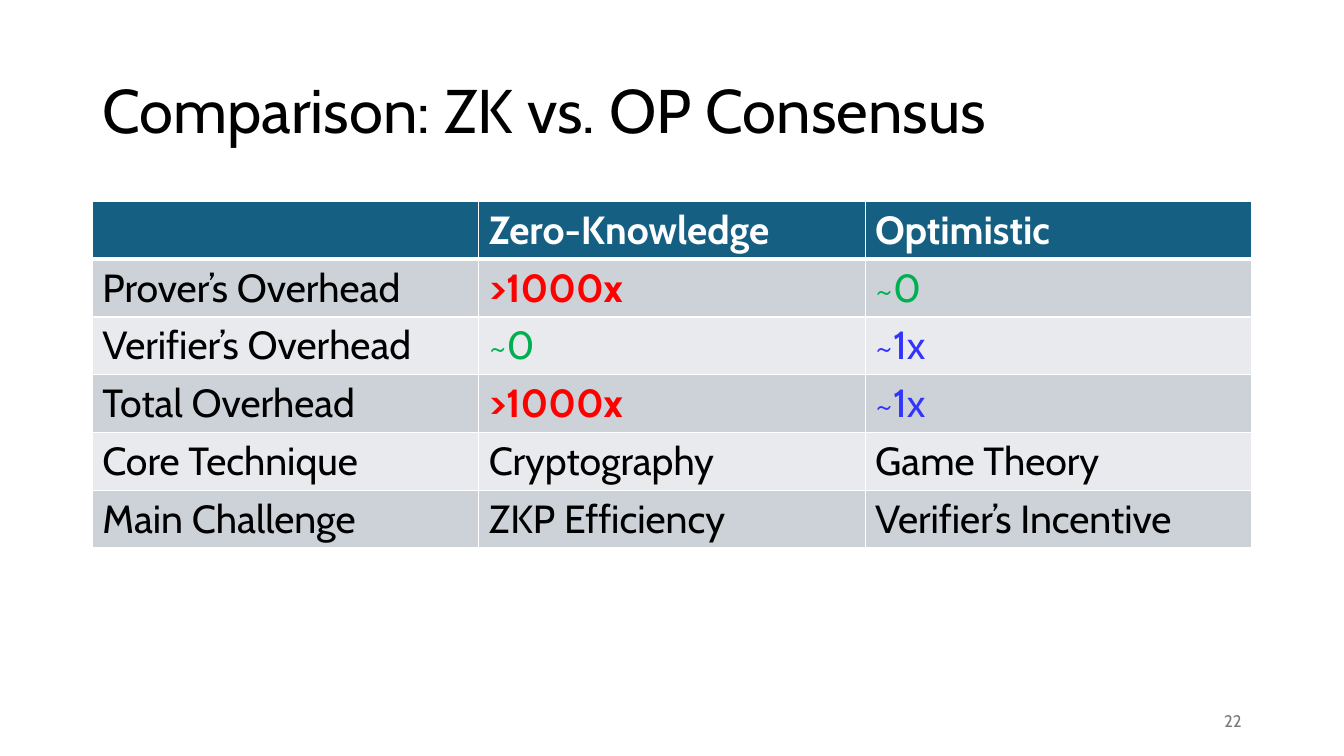
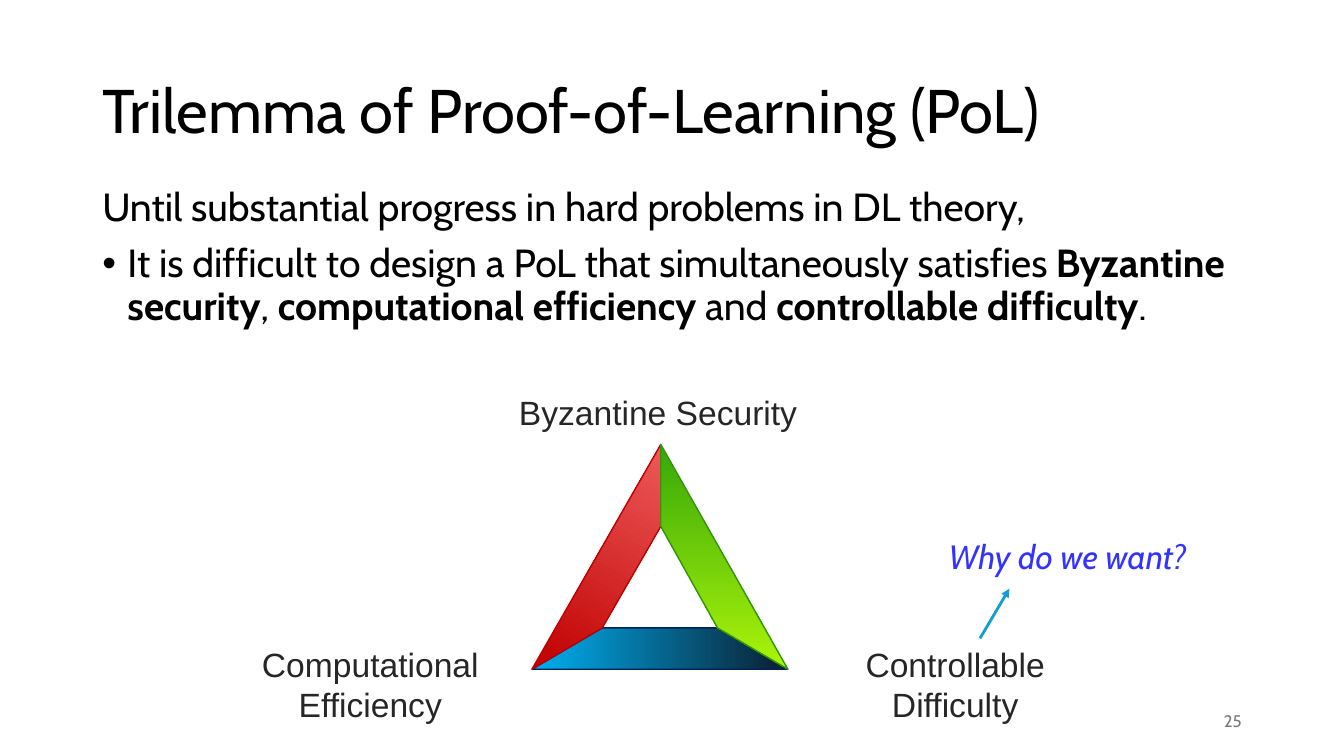
import pptx
import pptx.util
import pptx.dml.color
import pptx.enum.shapes
import pptx.enum.text
import pptx.oxml
import pptx.oxml.ns

Pt = pptx.util.Pt
ALIGN = pptx.enum.text.PP_ALIGN
ANCHOR = pptx.enum.text.MSO_ANCHOR
MAIN = "Cabin"
LABEL = "Arial"
COLORS = {
    "black": "000000", "white": "FFFFFF", "gray": "797979", "ink": "262626",
    "head": "156082", "odd": "CCD2D8", "even": "E8EAED",
    "red": "FF0000", "green": "00B050", "blue": "3333FF", "arrow": "0F9ED5",
    "navy": "002060", "night": "0B1E31", "sky": "00B0F0",
    "brick": "C00000", "rose": "ED5959",
    "moss": "319608", "leaf": "36A709", "lime": "ACF40A",
}
LEFT, WIDTH = 66, 828
ROW = 41.25
TABLE = [
    ["", "Zero-Knowledge", "Optimistic"],
    ["Prover’s Overhead", ">1000x", "~0"],
    ["Verifier’s Overhead", "~0", "~1x"],
    ["Total Overhead", ">1000x", "~1x"],
    ["Core Technique", "Cryptography", "Game Theory"],
    ["Main Challenge", "ZKP Efficiency", "Verifier’s Incentive"],
]
MARKS = {">1000x": "red", "~0": "green", "~1x": "blue"}
BODY = [
    ("It is difficult to design a PoL that simultaneously satisfies ", False),
    ("Byzantine security", True),
    (", ", False),
    ("computational efficiency", True),
    (" and ", False),
    ("controllable difficulty", True),
    (".", False),
]
OUTER = {"top": (472, 317.5), "left": (380, 478), "right": (562.75, 478)}
INNER = {"top": (472, 376), "left": (430.25, 448.5), "right": (512.5, 448.5)}
SIDES = [
    ("left", "right", "night", "sky", 180, "navy"),
    ("top", "left", "brick", "rose", 60, "brick"),
    ("top", "right", "leaf", "lime", 270, "moss"),
]
LABELS = [
    ("Computational Efficiency", 145, 456, 239, 65.5),
    ("Controllable Difficulty", 572.5, 456, 219.5, 65.5),
    ("Byzantine Security", 350.5, 276, 239, 36),
]


def tint(name):
    return pptx.dml.color.RGBColor.from_string(COLORS[name])


def style(runs, size, color="black", face=MAIN, bold=False, slant=False):
    for run in runs:
        font = run.font
        font.size = Pt(size)
        font.name = face
        font.bold = bold
        font.italic = slant
        font.color.rgb = tint(color)


def add_box(slide, left, top, width, height, text, size, color="black",
            face=MAIN, align=ALIGN.LEFT, anchor=ANCHOR.MIDDLE, wrap=True, slant=False):
    box = slide.shapes.add_textbox(Pt(left), Pt(top), Pt(width), Pt(height))
    frame = box.text_frame
    frame.word_wrap = wrap
    frame.vertical_anchor = anchor
    frame.text = text
    first = frame.paragraphs[0]
    first.alignment = align
    style(first.runs, size, color, face, slant=slant)
    return frame


def add_page(deck, title, number):
    slide = deck.slides.add_slide(deck.slide_layouts[6])
    frame = add_box(slide, LEFT, 28.75, WIDTH, 104.5, title, 44)
    frame.paragraphs[0].line_spacing = 0.9
    add_box(slide, 678, 500.5, 216, 28.75, number, 12, "gray", align=ALIGN.RIGHT)
    return slide


def add_edges(cell, foot):
    props = cell._tc.get_or_add_tcPr()
    for side, width in (("L", 1), ("R", 1), ("T", 1), ("B", foot)):
        props.append(pptx.oxml.parse_xml(
            f'<a:ln{side} {pptx.oxml.ns.nsdecls("a")} w="{Pt(width)}">'
            f'<a:solidFill><a:srgbClr val="{COLORS["white"]}"/></a:solidFill></a:ln{side}>'))


def add_grid(slide, data):
    rows, cols = len(data), len(data[0])
    table = slide.shapes.add_table(
        rows, cols, Pt(LEFT), Pt(144), Pt(WIDTH), Pt(ROW * rows)).table
    for r, line in enumerate(data):
        table.rows[r].height = Pt(ROW)
        for c, text in enumerate(line):
            cell = table.cell(r, c)
            add_edges(cell, 3 if r == 0 else 1)
            cell.fill.solid()
            cell.fill.fore_color.rgb = tint("head" if r == 0 else "odd" if r % 2 else "even")
            cell.text_frame.text = text
            color = "white" if r == 0 else MARKS.get(text, "black")
            style(cell.text_frame.paragraphs[0].runs, 28, color,
                  bold=color in ("white", "red"))


def add_body(slide):
    frame = add_box(slide, LEFT, 130.5, WIDTH, 342.75,
                    "Until substantial progress in hard problems in DL theory,",
                    28, anchor=ANCHOR.TOP)
    item = frame.add_paragraph()
    props = item._p.get_or_add_pPr()
    props.set("marL", str(Pt(18)))
    props.set("indent", str(-Pt(18)))
    for tag in (f'buFont {pptx.oxml.ns.nsdecls("a")} typeface="{LABEL}"',
                f'buChar {pptx.oxml.ns.nsdecls("a")} char="•"'):
        props.append(pptx.oxml.parse_xml(f"<a:{tag}/>"))
    item.space_before = Pt(10)
    for text, bold in BODY:
        run = item.add_run()
        run.text = text
        style([run], 28, bold=bold)
    for par in frame.paragraphs:
        par.line_spacing = 0.9


def add_side(slide, start, end, first, last, angle, edge):
    spots = [(Pt(x), Pt(y)) for x, y in
             (OUTER[start], OUTER[end], INNER[end], INNER[start])]
    pen = slide.shapes.build_freeform(*spots[0])
    pen.add_line_segments(spots[1:], close=True)
    shape = pen.convert_to_shape()
    shape.shadow.inherit = False
    shape.fill.gradient()
    shape.fill.gradient_angle = angle
    for stop, color in zip(shape.fill.gradient_stops, (first, last)):
        stop.color.rgb = tint(color)
    shape.line.color.rgb = tint(edge)
    shape.line.width = Pt(1)


def add_arrow(slide, x1, y1, x2, y2):
    arrow = slide.shapes.add_connector(
        pptx.enum.shapes.MSO_CONNECTOR.STRAIGHT, Pt(x1), Pt(y1), Pt(x2), Pt(y2))
    arrow.line.color.rgb = tint("arrow")
    arrow.line.width = Pt(2)
    space = pptx.oxml.ns.nsdecls("a")
    arrow.line._get_or_add_ln().append(
        pptx.oxml.parse_xml(f'<a:tailEnd {space} type="triangle"/>'))
    arrow._element.spPr.append(pptx.oxml.parse_xml(f"<a:effectLst {space}/>"))


def main():
    deck = pptx.Presentation()
    deck.slide_width, deck.slide_height = Pt(960), Pt(540)

    slide = add_page(deck, "Comparison: ZK vs. OP Consensus", "22")
    add_grid(slide, TABLE)

    slide = add_page(deck, "Trilemma of Proof-of-Learning (PoL)", "25")
    add_body(slide)
    for side in SIDES:
        add_side(slide, *side)
    for text, *place in LABELS:
        add_box(slide, *place, text, 24, "ink", LABEL, ALIGN.CENTER)
    add_box(slide, 670.5, 379.5, 196, 36, "Why do we want?", 24, "blue",
            anchor=ANCHOR.TOP, wrap=False, slant=True)
    add_arrow(slide, 700, 456, 721, 420.5)

    deck.save("out.pptx")


if __name__ == "__main__":
    main()
